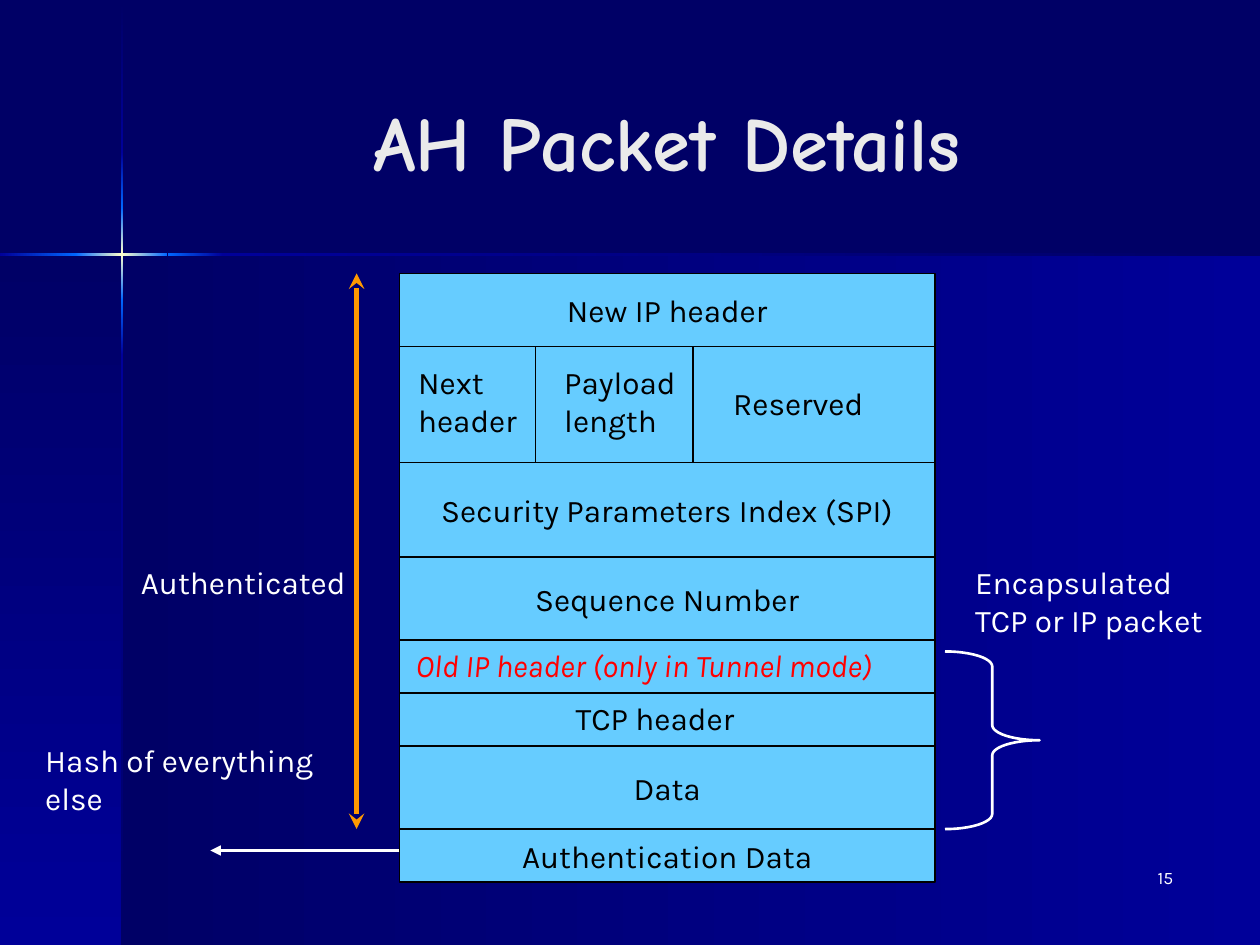
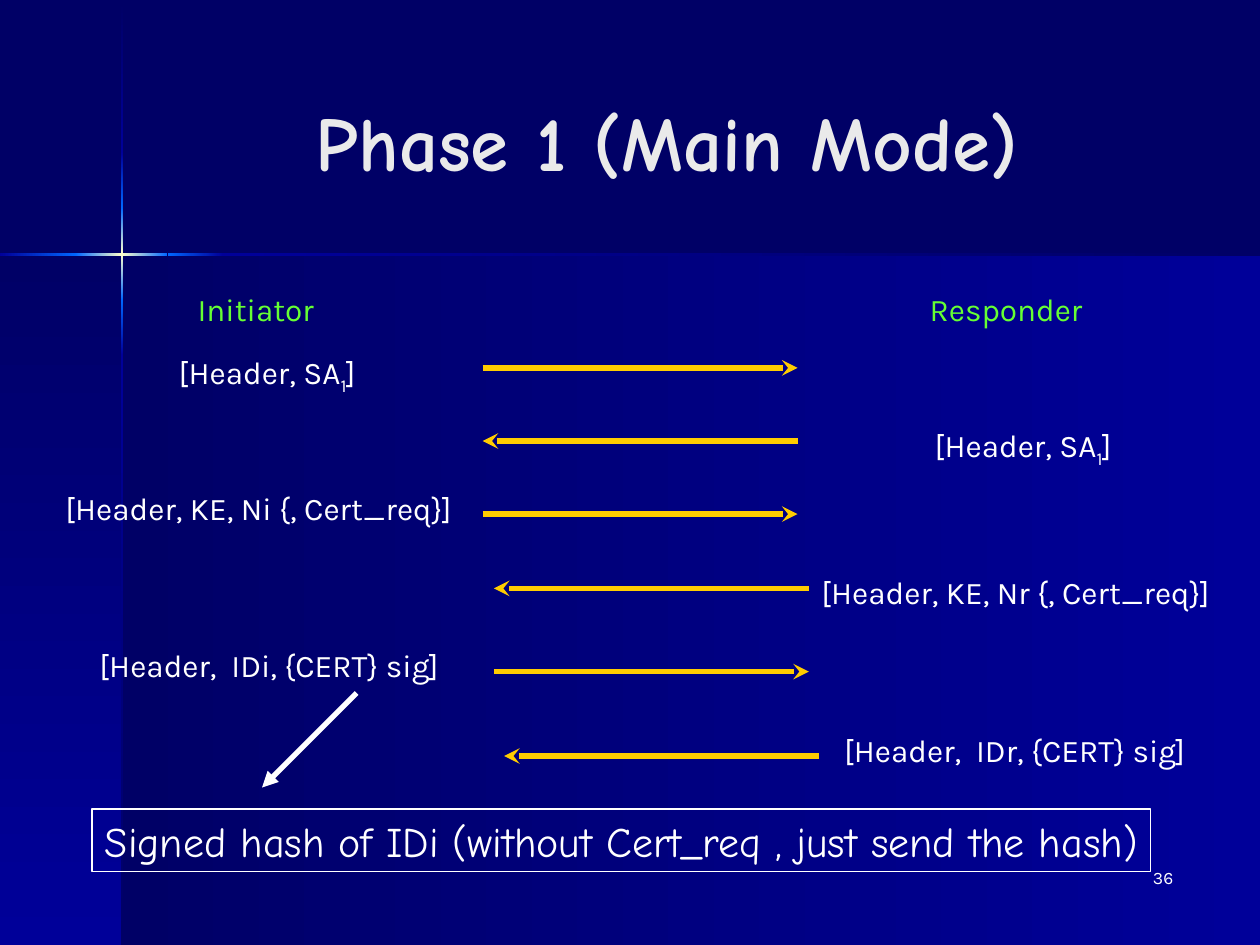
from dataclasses import dataclass

import pptx
import pptx.dml.color
import pptx.enum.shapes
import pptx.enum.text
import pptx.oxml
import pptx.oxml.ns
import pptx.util
from lxml import etree
from pptx.util import Inches

SHAPE = pptx.enum.shapes.MSO_SHAPE
ALIGN = pptx.enum.text.PP_ALIGN
ANCHOR = pptx.enum.text.MSO_ANCHOR
qn = pptx.oxml.ns.qn


@dataclass(frozen=True)
class Theme:
    night: str = "000066"
    navy: str = "000099"
    azure: str = "0066FF"
    spark: str = "FFFFCC"
    title: str = "EAEAEA"
    white: str = "FFFFFF"
    black: str = "000000"
    packet: str = "66CCFF"
    red: str = "FF0000"
    orange: str = "FF9900"
    gold: str = "FFCC00"
    green: str = "66FF33"
    title_font: str = "Comic Neue"
    body_font: str = "Karla"
    title_size: int = 44
    note_size: int = 24
    body_size: int = 18
    number_size: int = 10
    hairline: float = 0.74
    thin: float = 1.5
    thick: float = 3


def rgb(code):
    return pptx.dml.color.RGBColor.from_string(code)


class SlideBuilder:
    """Holds the theme and the slide being filled."""

    def __init__(self, deck, theme):
        self.deck = deck
        self.theme = theme
        self.page = None

    def start(self, title):
        self.page = self.deck.slides.add_slide(self.deck.slide_layouts[5])
        holder = self.page.shapes.title
        holder.left, holder.top = Inches(1.17), Inches(0.33)
        holder.width, holder.height = Inches(8.25), Inches(1.57)
        holder.text_frame.vertical_anchor = ANCHOR.MIDDLE
        holder.text_frame.text = title
        para = holder.text_frame.paragraphs[0]
        para.font.bold = True
        self.style(para, self.theme.title, ALIGN.CENTER,
                   self.theme.title_size, self.theme.title_font)

    def style(self, para, color, align=ALIGN.LEFT, size=None, font=None):
        para.alignment = align
        para.font.size = pptx.util.Pt(size or self.theme.body_size)
        para.font.name = font or self.theme.body_font
        para.font.color.rgb = rgb(color)

    def shape(self, left, top, width, height, fill=None, line=None,
              weight=None, kind=SHAPE.RECTANGLE):
        shape = self.page.shapes.add_shape(
            kind, Inches(left), Inches(top), Inches(width), Inches(height))
        shape.shadow.inherit = False
        if fill:
            shape.fill.solid()
            shape.fill.fore_color.rgb = rgb(fill)
        else:
            shape.fill.background()
        if line:
            shape.line.color.rgb = rgb(line)
            shape.line.width = pptx.util.Pt(weight or self.theme.hairline)
        else:
            shape.line.fill.background()
        return shape

    def label(self, shape, text, color, size=None, font=None,
              anchor=ANCHOR.MIDDLE):
        """Centred text inside a shape."""
        frame = shape.text_frame
        frame.word_wrap = False
        frame.vertical_anchor = anchor
        frame.text = text
        self.style(frame.paragraphs[0], color, ALIGN.CENTER, size, font)

    def text(self, left, top, width, lines, color, height=0.4,
             align=ALIGN.LEFT, size=None, wrap=False, italic=False):
        """Text box, one paragraph a line; '_1' at a span's start lowers it."""
        box = self.page.shapes.add_textbox(
            Inches(left), Inches(top), Inches(width), Inches(height))
        frame = box.text_frame
        frame.word_wrap = wrap
        if not wrap:
            frame.auto_size = pptx.enum.text.MSO_AUTO_SIZE.SHAPE_TO_FIT_TEXT
        for index, line in enumerate(lines):
            para = frame.add_paragraph() if index else frame.paragraphs[0]
            self.style(para, color, align, size)
            if italic:
                para.font.italic = True
            for words in [line] if isinstance(line, str) else line:
                span = para.add_run()
                span.text = words.removeprefix("_")
                if words.startswith("_"):
                    span._r.get_or_add_rPr().set("baseline", "-25000")

    def line(self, start, end, color, weight=None, head=None, tail=None):
        """Straight line; head sits at its start and tail at its end."""
        link = self.page.shapes.add_connector(
            pptx.enum.shapes.MSO_CONNECTOR.STRAIGHT,
            *(Inches(value) for value in (*start, *end)))
        link.line.color.rgb = rgb(color)
        link.line.width = pptx.util.Pt(weight or self.theme.hairline)
        properties = link._element.spPr
        outline = properties.find(qn("a:ln"))
        for tag, arrow in (("a:headEnd", head), ("a:tailEnd", tail)):
            if arrow:
                etree.SubElement(outline, qn(tag), type=arrow)
        etree.SubElement(properties, qn("a:effectLst"))

    def gradient(self, left, top, width, height, colors, down):
        """Band whose colours run evenly to the right or down."""
        band = self.shape(left, top, width, height)
        band.fill.gradient()
        band.fill.gradient_angle = 270 if down else 0
        stops = band._element.spPr.find(qn("a:gradFill")).find(qn("a:gsLst"))
        for stop in list(stops):
            stops.remove(stop)
        for index, color in enumerate(colors):
            place = 100000 * index // (len(colors) - 1)
            stop = etree.SubElement(stops, qn("a:gs"), pos=str(place))
            etree.SubElement(stop, qn("a:srgbClr"), val=color)
        return band

    def backdrop(self):
        """Draw the panels and the star once, then hand them to the master."""
        theme = self.theme
        master = self.deck.slide_master
        master.background.fill.solid()
        master.background.fill.fore_color.rgb = rgb(theme.night)

        fade_in = (theme.night, theme.navy)
        rise = (theme.navy, theme.azure)
        flare = (theme.azure, theme.spark, theme.azure)
        bands = [
            self.gradient(0.97, 2.02, 9.03, 5.48, fade_in, False),
            self.gradient(0, 2.02, 0.97, 5.48, fade_in, True),
        ]
        upright = [(0.01, 1.21, fade_in), (1.21, 1.65, rise),
                   (1.65, 2.38, flare), (2.38, 2.82, rise[::-1]),
                   (2.82, 7.5, fade_in[::-1])]
        level = [(0, 0.61, rise), (0.6, 1.33, flare),
                 (1.33, 1.77, rise[::-1]), (1.77, 10, fade_in[::-1])]
        for start, end, colors in upright:
            bands.append(self.gradient(0.96, start, 0.02, end - start,
                                       colors, True))
        for start, end, colors in level:
            bands.append(self.gradient(start, 2.01, end - start, 0.02,
                                       colors, False))
        tree = master.shapes._spTree
        for number, band in enumerate(bands, 101):
            element = band._element
            element.nvSpPr.cNvPr.set("id", str(number))
            tree.insert_element_before(element, "p:extLst")

    def page_number(self, number):
        self.text(7.33, 6.83, 2.08, [str(number)], self.theme.white, 0.5,
                  ALIGN.RIGHT, self.theme.number_size, wrap=True)


theme = Theme()
deck = pptx.Presentation()
deck.slide_width, deck.slide_height = Inches(10), Inches(7.5)
slide = SlideBuilder(deck, theme)

# Slide 1: packet layout
slide.start("AH Packet Details")
slide.backdrop()

left, width = 3.17, 4.25
right = left + width
rows = [
    (2.17, 2.75, "New IP header"),
    (2.75, 3.67, None),
    (3.67, 4.42, "Security Parameters Index (SPI)"),
    (4.42, 5.08, "Sequence Number"),
    (5.08, 5.92, None),
    (5.92, 6.58, "Data"),
    (6.58, 7.0, "Authentication Data"),
]
for top, bottom, name in rows:
    row = slide.shape(left, top, width, bottom - top, theme.packet,
                      theme.black)
    if name:
        slide.label(row, name, theme.black)

# Fields inside the two divided rows
for x in (4.25, 5.5):
    slide.line((x, 2.75), (x, 3.67), theme.black)
slide.line((left, 5.5), (right, 5.5), theme.black)
slide.text(3.22, 2.83, 1.03, ["Next", "header"], theme.black, 0.7)
slide.text(4.38, 2.83, 1.13, ["Payload", "length"], theme.black, 0.7)
slide.text(5.72, 3, 1.28, ["Reserved"], theme.black)
slide.text(3.2, 5.08, 4.18, ["Old IP header (only in Tunnel mode)"],
           theme.red, italic=True)
slide.text(4.47, 5.5, 1.54, ["TCP header"], theme.black)

# Notes around the packet
slide.line((2.83, 2.17), (2.83, 6.58), theme.orange, theme.thick,
           "stealth", "stealth")
slide.text(1.02, 4.42, 1.85, ["Authenticated"], theme.white)
brace = slide.shape(7.5, 5.17, 0.75, 1.41, None, theme.white, theme.thin,
                    SHAPE.RIGHT_BRACE)
brace.adjustments[0] = 0.16
slide.text(7.64, 4.42, 2.11, ["Encapsulated", "TCP or IP packet"],
           theme.white, 0.7)
slide.line((left, 6.75), (1.67, 6.75), theme.white, theme.thin,
           tail="triangle")
slide.text(0.26, 5.83, 2.42, ["Hash of everything", "else"],
           theme.white, 0.7)
slide.page_number(15)

# Slide 2: message exchange
slide.start("Phase 1 (Main Mode)")
slide.text(1.47, 2.25, 1.14, ["Initiator"], theme.green)
slide.text(7.28, 2.25, 1.47, ["Responder"], theme.green)

# Arrow start and height, then the message's place, width and words
proposal = ["[Header, SA", "_1", "]"]
messages = [
    (3.83, 2.92, 1.32, 2.75, 1.74, proposal),
    (3.83, 3.5, 7.32, 3.33, 1.74, proposal),
    (3.83, 4.08, 0.42, 3.83, 3.43, "[Header, KE, Ni {, Cert_req}]"),
    (3.92, 4.67, 6.42, 4.5, 3.47, "[Header, KE, Nr {, Cert_req}]"),
    (3.92, 5.33, 0.69, 5.08, 3.07, "[Header,  IDi, {CERT} sig]"),
    (4, 6, 6.6, 5.75, 3.11, "[Header,  IDr, {CERT} sig]"),
]
for index, (x, y, text_left, text_top, text_width, words) in enumerate(messages):
    ends = [(x, y), (x + 2.5, y)]
    if index % 2:
        ends.reverse()
    slide.line(*ends, theme.gold, theme.thick, tail="stealth")
    slide.text(text_left, text_top, text_width, [words], theme.white,
               0.44 if words is proposal else 0.4)

# Remark on the signature
slide.line((2.83, 5.5), (2.08, 6.25), theme.white, theme.thick,
           tail="triangle")
remark = slide.shape(0.73, 6.42, 8.4, 0.5, None, theme.white)
slide.label(remark,
            "Signed hash of IDi (without Cert_req , just send the hash)",
            theme.white, theme.note_size, theme.title_font, ANCHOR.TOP)
slide.page_number(36)

deck.save("out.pptx")
